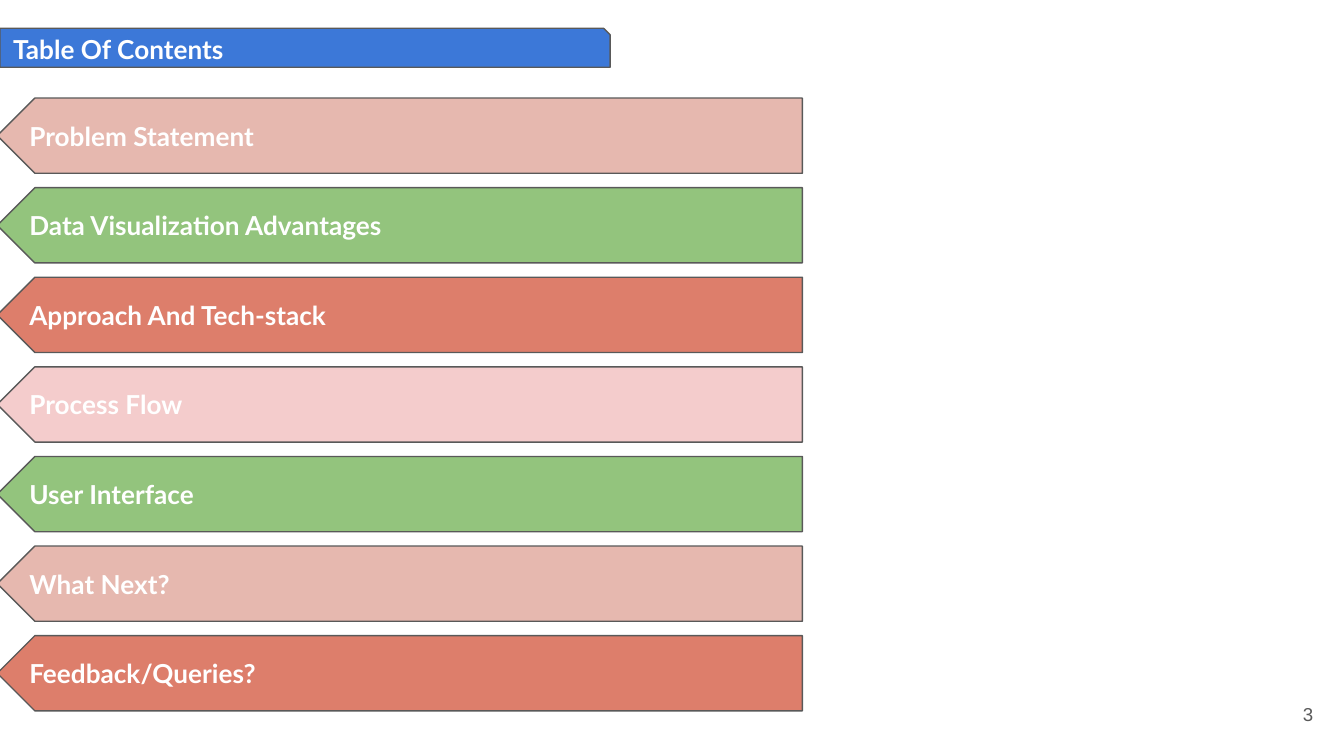
from pptx import Presentation
from pptx import util as u
from pptx.dml.color import RGBColor
from pptx.enum import shapes, text

WHITE = RGBColor(0xFF, 0xFF, 0xFF)
GRAY = RGBColor(0x59, 0x59, 0x59)
BLUE = RGBColor(0x3C, 0x78, 0xD8)
ROSE = RGBColor(0xE6, 0xB8, 0xAF)
GREEN = RGBColor(0x93, 0xC4, 0x7D)
CORAL = RGBColor(0xDD, 0x7E, 0x6B)
PINK = RGBColor(0xF4, 0xCC, 0xCC)

FRAME = {
    "margin_left": u.Inches(0.1),
    "margin_right": u.Inches(0.1),
    "margin_top": u.Inches(0.1),
    "margin_bottom": u.Inches(0.1),
    "vertical_anchor": text.MSO_ANCHOR.MIDDLE,
    "word_wrap": True,
}
LABEL = {"name": "Lato", "size": u.Pt(14), "bold": True}
NUMBER = {"name": "Arial", "size": u.Pt(10)}


def write(sp, words, font, color, align):
    tf = sp.text_frame
    for key, value in FRAME.items():
        setattr(tf, key, value)
    p = tf.paragraphs[0]
    p.alignment = align
    r = p.add_run()
    r.text = words
    for key, value in font.items():
        setattr(r.font, key, value)
    r.font.color.rgb = color


def add_bar(s, kind, box, adj, fill, words):
    sp = s.shapes.add_shape(kind, *[u.Inches(v) for v in box])
    sp.adjustments[0] = adj
    sp.shadow.inherit = False
    sp.fill.solid()
    sp.fill.fore_color.rgb = fill
    sp.line.color.rgb = GRAY
    sp.line.width = u.Pt(0.75)
    write(sp, words, LABEL, WHITE, text.PP_ALIGN.LEFT)
    return sp


prs = Presentation()
prs.slide_width = u.Inches(10)
prs.slide_height = u.Inches(10 * 9 / 16)
s = prs.slides.add_slide(prs.slide_layouts[6])

sp = s.shapes.add_textbox(u.Inches(9.27), u.Inches(5.1), u.Inches(0.6), u.Inches(0.43))
write(sp, "3", NUMBER, GRAY, text.PP_ALIGN.RIGHT)

add_bar(s, shapes.MSO_SHAPE.SNIP_1_RECTANGLE, (0, 0.21, 4.54, 0.29), 0.17, BLUE, "Table Of Contents")

topics = [
    ("Problem Statement", ROSE),
    ("Data Visualization Advantages", GREEN),
    ("Approach And Tech-stack", CORAL),
    ("Process Flow", PINK),
    ("User Interface", GREEN),
    ("What Next?", ROSE),
    ("Feedback/Queries?", CORAL),
]
top, pitch = 0.73, 4 / 6
for i, (words, fill) in enumerate(topics):
    box = (-0.02, top + i * pitch, 5.99, 0.56)
    sp = add_bar(s, shapes.MSO_SHAPE.PENTAGON, box, 0.5, fill, words)
    sp.element.spPr.xfrm.set("flipH", "1")

prs.save("out.pptx")
